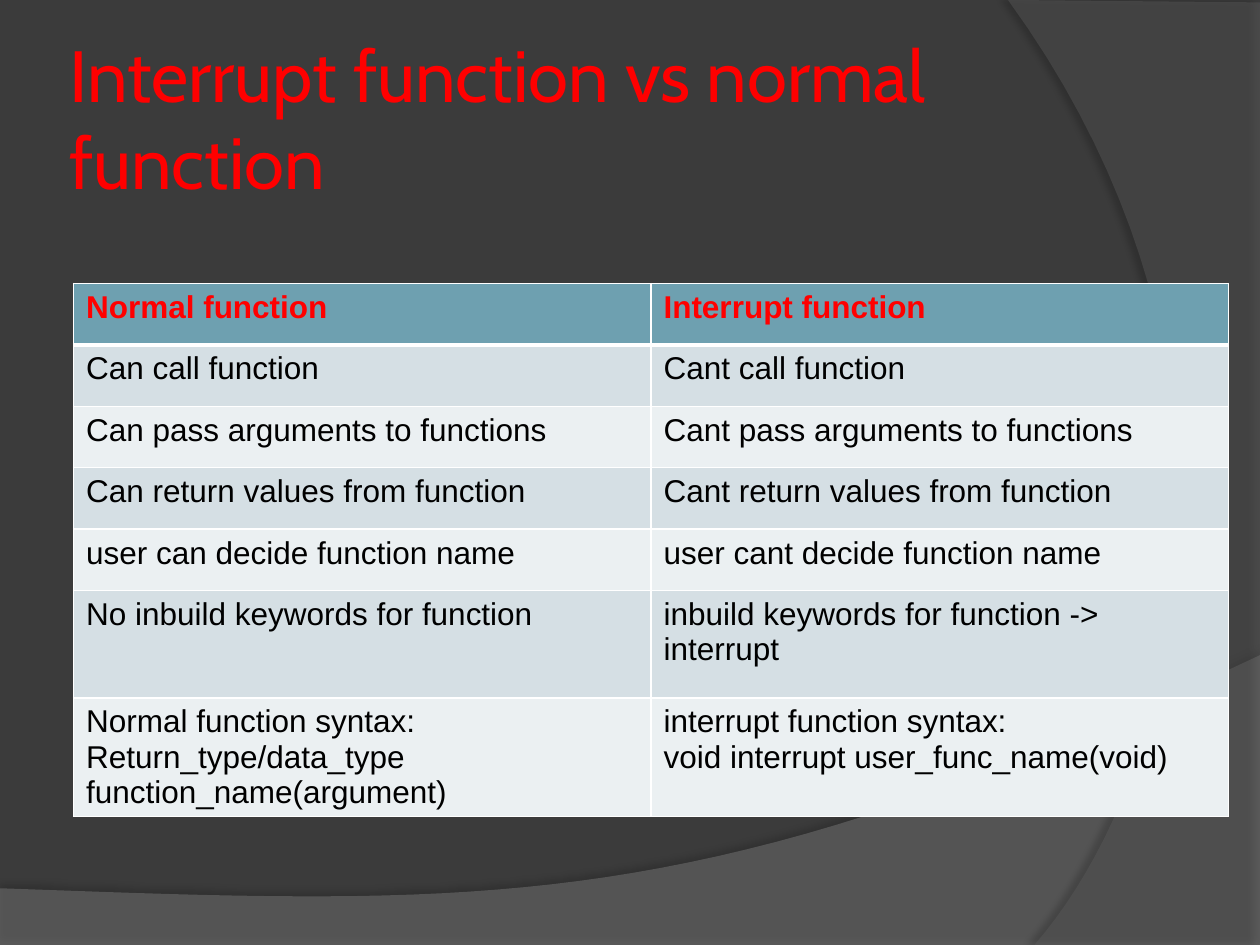
from lxml import etree
from pptx import Presentation
from pptx.dml.color import RGBColor
from pptx.enum.text import MSO_ANCHOR, MSO_AUTO_SIZE, PP_ALIGN
from pptx.oxml import parse_xml
from pptx.oxml.ns import qn
from pptx.util import Pt

MIDDLE = MSO_ANCHOR.MIDDLE
NO_AUTOFIT = MSO_AUTO_SIZE.NONE
LEFT = PP_ALIGN.LEFT
TITLE_ONLY = 5
CURVE_STEPS = 40
NAMESPACE = "http://schemas.openxmlformats.org/drawingml/2006/main"

ROWS = [
    ("Normal function", "Interrupt function"),
    ("Can call function", "Cant call function"),
    ("Can pass arguments to functions", "Cant pass arguments to functions"),
    ("Can return values from function", "Cant return values from function"),
    ("user can decide function name", "user cant decide function name"),
    ("No inbuild keywords for function", "inbuild keywords for function -> interrupt"),
    ("Normal function syntax:\nReturn_type/data_type function_name(argument)",
     "interrupt function syntax:\nvoid interrupt user_func_name(void)"),
]
ROW_HEIGHTS = [35.1] * 5 + [61.4] * 2


def color(value):
    return RGBColor.from_string(value)


def curve_points(start, control_a, control_b, end):
    points = []
    for step in range(1, CURVE_STEPS + 1):
        t = step / CURVE_STEPS
        weights = ((1 - t) ** 3, 3 * t * (1 - t) ** 2, 3 * t * t * (1 - t), t ** 3)
        anchors = (start, control_a, control_b, end)
        points.append(tuple(sum(w * p[axis] for w, p in zip(weights, anchors))
                            for axis in (0, 1)))
    return points


def add_swoosh(slide, box, corners, curve, fill, opacity, shadow):
    left, top = box
    outline = [(Pt(left + x), Pt(top + y))
               for x, y in corners + curve_points(corners[-1], *curve)]
    builder = slide.shapes.build_freeform(*outline[0])
    builder.add_line_segments(outline[1:], close=True)
    shape = builder.convert_to_shape()
    shape.fill.solid()
    shape.fill.fore_color.rgb = color(fill)
    shape.line.fill.background()
    fill_color = shape.element.spPr.find(qn("a:solidFill"))[0]
    etree.SubElement(fill_color, qn("a:alpha"), val=str(opacity * 1000))
    shadow_opacity, blur, distance, angle = shadow
    shape.element.spPr.append(parse_xml(
        f'<a:effectLst xmlns:a="{NAMESPACE}"><a:outerShdw blurRad="{Pt(blur)}" '
        f'dist="{Pt(distance)}" dir="{angle * 60000}" algn="ctr" rotWithShape="0">'
        f'<a:srgbClr val="000000"><a:alpha val="{shadow_opacity * 1000}"/></a:srgbClr>'
        f'</a:outerShdw></a:effectLst>'))


def add_background(slide):
    slide.background.fill.solid()
    slide.background.fill.fore_color.rgb = color("3B3B3B")
    add_swoosh(slide, (0, 374.4),
               [(0, 133.2), (0, 165.6), (720, 165.6), (720, 0)],
               [(402.5, 150.5), (281.5, 143.3), (0, 133.2)],
               "7F7F7F", 45, (35, 4, 3.5, 270))
    add_swoosh(slide, (576, 0),
               [(144, 1.4), (144, 540), (15.1, 540)],
               [(97.2, 445.7), (157, 216), (0, 0)],
               "5E5E5E", 40, (45, 4, 4, 180))


def place_title(slide, left, top, width, height):
    title = slide.shapes.title
    slide.shapes.element.append(title.element)
    title.left, title.top, title.width, title.height = map(Pt, (left, top, width, height))
    frame = title.text_frame
    frame.text = "Interrupt function vs normal function"
    frame.word_wrap = True
    frame.auto_size = NO_AUTOFIT
    frame.vertical_anchor = MIDDLE
    frame.margin_left = frame.margin_right = Pt(3.6)
    frame.margin_top = frame.margin_bottom = Pt(3.6)
    paragraph = frame.paragraphs[0]
    paragraph.alignment = LEFT
    paragraph.font.size = Pt(41.4)
    paragraph.font.name = "Cabin"
    paragraph.font.color.rgb = color("FF0000")


def add_borders(cell, widths):
    properties = cell._tc.get_or_add_tcPr()
    for side, width in widths.items():
        line = etree.SubElement(properties, qn(f"a:ln{side}"), w=str(Pt(width)))
        fill = etree.SubElement(line, qn("a:solidFill"))
        etree.SubElement(fill, qn("a:srgbClr"), val="FFFFFF")


def format_cell(cell, text, row):
    header = row == 0
    add_borders(cell, {"L": 1, "R": 1, "T": 3 if row == 1 else 1, "B": 3 if header else 1})
    cell.fill.solid()
    band = "D5DFE4" if row % 2 else "EBF0F2"
    cell.fill.fore_color.rgb = color("6EA0B0" if header else band)
    cell.text = text
    for paragraph in cell.text_frame.paragraphs:
        paragraph.font.size = Pt(18)
        paragraph.font.name = "Arial"
        paragraph.font.bold = header
        paragraph.font.color.rgb = color("FF0000" if header else "000000")


def add_comparison(slide, left, top, width):
    table = slide.shapes.add_table(
        len(ROWS), 2, Pt(left), Pt(top), Pt(width), Pt(sum(ROW_HEIGHTS))).table
    for column in table.columns:
        column.width = Pt(width / 2)
    for row, texts in enumerate(ROWS):
        table.rows[row].height = Pt(ROW_HEIGHTS[row])
        for column, text in enumerate(texts):
            format_cell(table.cell(row, column), text, row)


def main():
    presentation = Presentation()
    presentation.slide_width, presentation.slide_height = Pt(720), Pt(540)
    slide = presentation.slides.add_slide(presentation.slide_layouts[TITLE_ONLY])
    add_background(slide)
    place_title(slide, 36, 21.6, 588, 90)
    add_comparison(slide, 42, 162, 660)
    presentation.save("out.pptx")


main()
